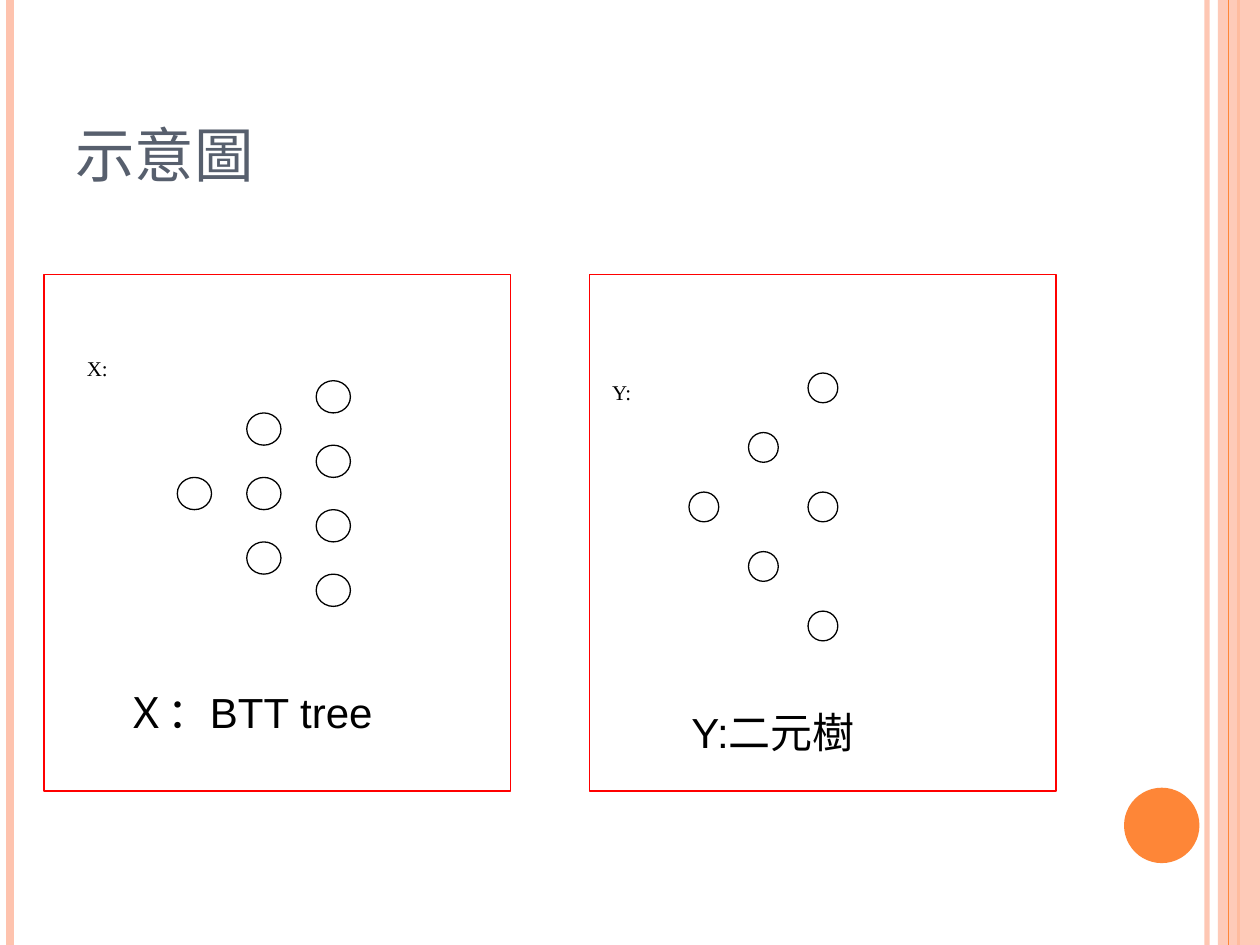
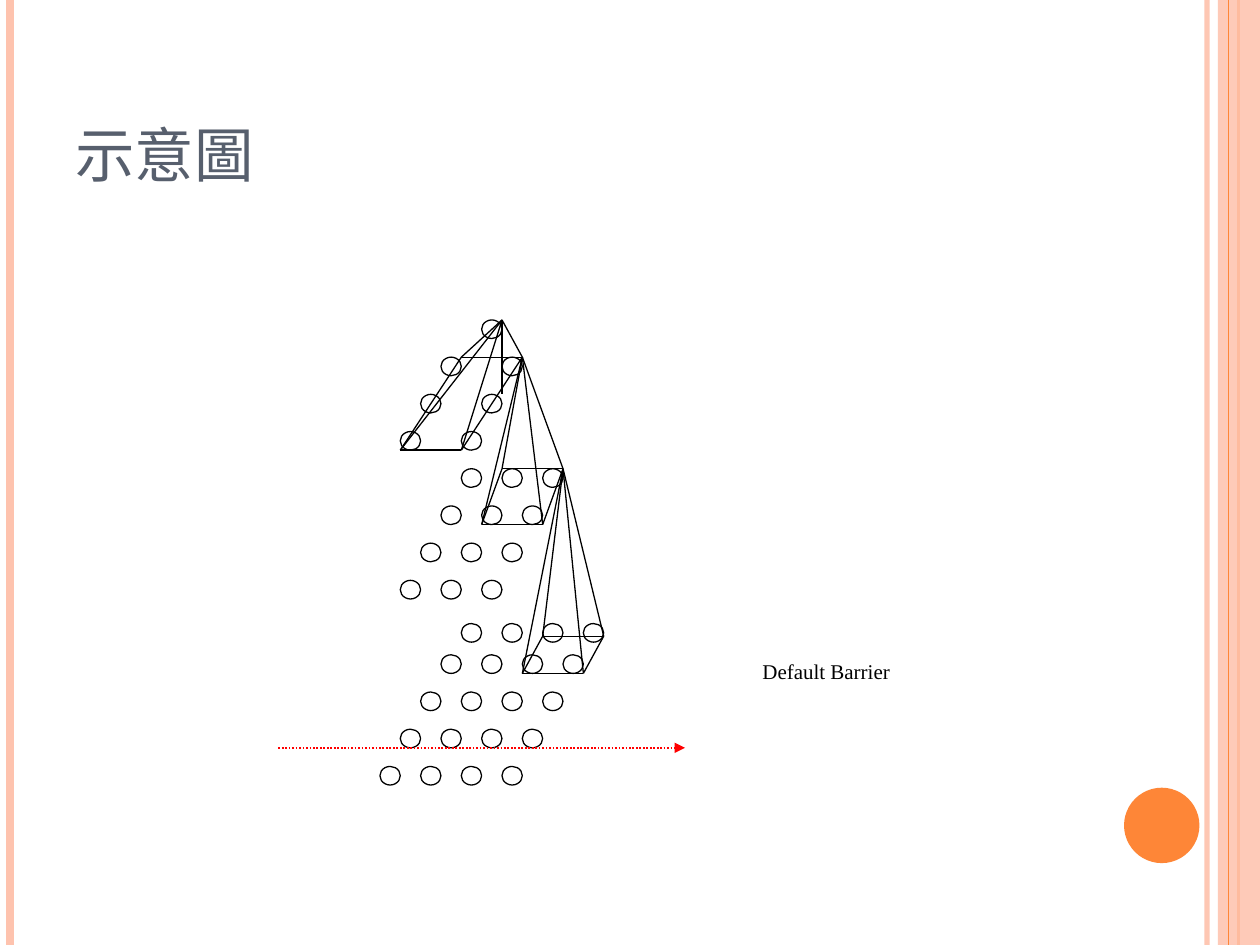
from itertools import combinations

from pptx import Presentation
from pptx.dml.color import RGBColor
from pptx.enum.dml import MSO_LINE
from pptx.enum.shapes import MSO_CONNECTOR, MSO_SHAPE
from pptx.enum.text import MSO_ANCHOR
from pptx.oxml.ns import qn
from pptx.util import Cm, Pt
from lxml.etree import SubElement

WIDTH, HEIGHT = 25.4, 19.05
PEACH, ORANGE, SLATE = "FEC3AE", "FE8637", "575F6D"
BLACK, WHITE, RED = "000000", "FFFFFF", "FF0000"
HEADING_FONT, CAPTION_FONT, LABEL_FONT = "TeX Gyre Schola", "Arial", "Times New Roman"


def paint(color_format, color, opacity=100):
    color_format.rgb = RGBColor.from_string(color)
    if opacity < 100:
        srgb = color_format._xFill.find(qn("a:srgbClr"))
        SubElement(srgb, qn("a:alpha"), val=str(opacity * 1000))


def add_text(slide, text, left, top, width, height, *, size, font,
             color=BLACK, anchor=MSO_ANCHOR.TOP):
    frame = slide.shapes.add_textbox(Cm(left), Cm(top), Cm(width), Cm(height)).text_frame
    frame.word_wrap = True
    frame.vertical_anchor = anchor
    paragraph = frame.paragraphs[0]
    paragraph.text = text
    paragraph.font.size = Pt(size)
    paragraph.font.name = font
    paint(paragraph.font.color, color)


def add_figure(slide, preset, left, top, width, height, *, fill=None, line=None, opacity=100):
    figure = slide.shapes.add_shape(preset, Cm(left), Cm(top), Cm(width), Cm(height))
    figure.shadow.inherit = False
    if fill:
        figure.fill.solid()
        paint(figure.fill.fore_color, fill, opacity)
    else:
        figure.fill.background()
    if line:
        paint(figure.line.color, line)
        figure.line.width = Pt(0.75)
    else:
        figure.line.fill.background()


def add_line(slide, start, end, *, color=BLACK, weight=0.75, opacity=100,
             dash=None, arrow=False):
    connector = slide.shapes.add_connector(
        MSO_CONNECTOR.STRAIGHT, *(Cm(value) for value in (*start, *end)))
    connector.line.fill.solid()
    paint(connector.line.fill.fore_color, color, opacity)
    connector.line.width = Pt(weight)
    if dash:
        connector.line.dash_style = dash
    if arrow:
        SubElement(connector.line._get_or_add_ln(), qn("a:tailEnd"), type="triangle")
    SubElement(connector._element.spPr, qn("a:effectLst"))


def add_node(slide, left, top, width, height):
    add_figure(slide, MSO_SHAPE.OVAL, left, top, width, height, fill=WHITE, line=BLACK)


def add_stripe(slide, x, color, weight, opacity=100):
    add_line(slide, (x, 0), (x, HEIGHT), color=color, weight=weight, opacity=opacity)


def start_slide(presentation, title):
    """Add a slide with the side stripes, the disc and the title."""
    slide = presentation.slides.add_slide(presentation.slide_layouts[6])
    add_stripe(slide, 24.33, PEACH, 3, 93)
    add_stripe(slide, 0.21, PEACH, 4.5)
    add_stripe(slide, 24.97, ORANGE, 1.5)
    add_figure(slide, MSO_SHAPE.RECTANGLE, 24.55, 0, WIDTH - 24.55, HEIGHT,
               fill=PEACH, opacity=87)
    add_stripe(slide, 24.77, ORANGE, 0.75)
    add_figure(slide, MSO_SHAPE.OVAL, 22.66, 15.88, 1.52, 1.52, fill=ORANGE)
    add_text(slide, title, 1.27, 0.76, 20.75, 3.18, size=34, font=HEADING_FONT,
             color=SLATE, anchor=MSO_ANCHOR.BOTTOM)
    return slide


def add_tree_panel(slide, left, top, *, label, label_at, caption, caption_at,
                   counts, root, column_step, row_step, node):
    """Draw a framed tree whose columns of nodes are centred on the root."""
    node_width, node_height = node
    for column, count in enumerate(counts):
        x = left + root[0] + column * column_step
        for row in range(count):
            y = top + root[1] + (row - (count - 1) / 2) * row_step
            add_node(slide, x - node_width / 2, y - node_height / 2, node_width, node_height)
    add_text(slide, label, left + label_at[0], top + label_at[1], 2.6, 1.9,
             size=12, font=LABEL_FONT)
    add_text(slide, caption, left + caption_at[0], top + caption_at[1], 7, 1.27,
             size=24, font=CAPTION_FONT)
    add_figure(slide, MSO_SHAPE.RECTANGLE, left, top, 9.4, 10.41, line=RED)


# Lattice rows: vertical grid position, then the columns that hold a node
LATTICE_ROWS = [
    (0, [5]), (1, [3, 6]), (2, [2, 5]), (3, [1, 4]),
    (4, [4, 6, 8]), (5, [3, 5, 7]), (6, [2, 4, 6]), (7, [1, 3, 5]),
    (8.16, [4, 6, 8, 10]), (9, [3, 5, 7, 9]), (10, [2, 4, 6, 8]),
    (11, [1, 3, 5, 7]), (12, [0, 2, 4, 6]),
]
# Pyramids: apex, then the corners of the base in order
PYRAMIDS = [
    ((6, 0), [(4, 1), (7, 1), (4, 3.5), (1, 3.5)]),
    ((7, 1), [(6, 4), (9, 4), (8, 5.5), (5, 5.5)]),
    ((9, 4), [(8, 8.5), (11, 8.5), (10, 9.5), (7, 9.5)]),
]


def add_barrier_lattice(slide, left, top):
    column_step, row_step = 0.41, 0.75

    def at(point):
        return left + point[0] * column_step, top + point[1] * row_step

    for row, columns in LATTICE_ROWS:
        for column in columns:
            add_node(slide, *at((column, row)), column_step, row_step / 2)
    for apex, base in PYRAMIDS:
        for corner, following in zip(base, base[1:] + base[:1]):
            add_line(slide, at(corner), at(following))
            add_line(slide, at(apex), at(corner))
    add_line(slide, at((6, 0)), at((6, 2)))
    add_line(slide, at((-5, 11.5)), at((15, 11.5)), color=RED, weight=1,
             dash=MSO_LINE.ROUND_DOT, arrow=True)
    add_text(slide, "Default Barrier", left + 7.46, top + 6.71, 3.28, 1.5,
             size=12, font=LABEL_FONT)


def main():
    presentation = Presentation()
    presentation.slide_width, presentation.slide_height = Cm(WIDTH), Cm(HEIGHT)

    trees = start_slide(presentation, "示意圖")
    add_tree_panel(trees, 0.89, 5.54, label="X:", label_at=(0.61, 1.5),
                   caption="Ｘ：BTT tree", caption_at=(1.4, 8.18), counts=(1, 3, 4),
                   root=(3.03, 4.41), column_step=1.4, row_step=1.3, node=(0.69, 0.65))
    add_tree_panel(trees, 11.89, 5.54, label="Y:", label_at=(0.2, 1.98),
                   caption="Y:二元樹", caption_at=(1.8, 8.58), counts=(1, 2, 3),
                   root=(2.3, 4.68), column_step=1.2, row_step=2.4, node=(0.6, 0.6))

    barrier = start_slide(presentation, "示意圖")
    add_barrier_lattice(barrier, 7.66, 6.45)

    presentation.save("out.pptx")


if __name__ == "__main__":
    main()
